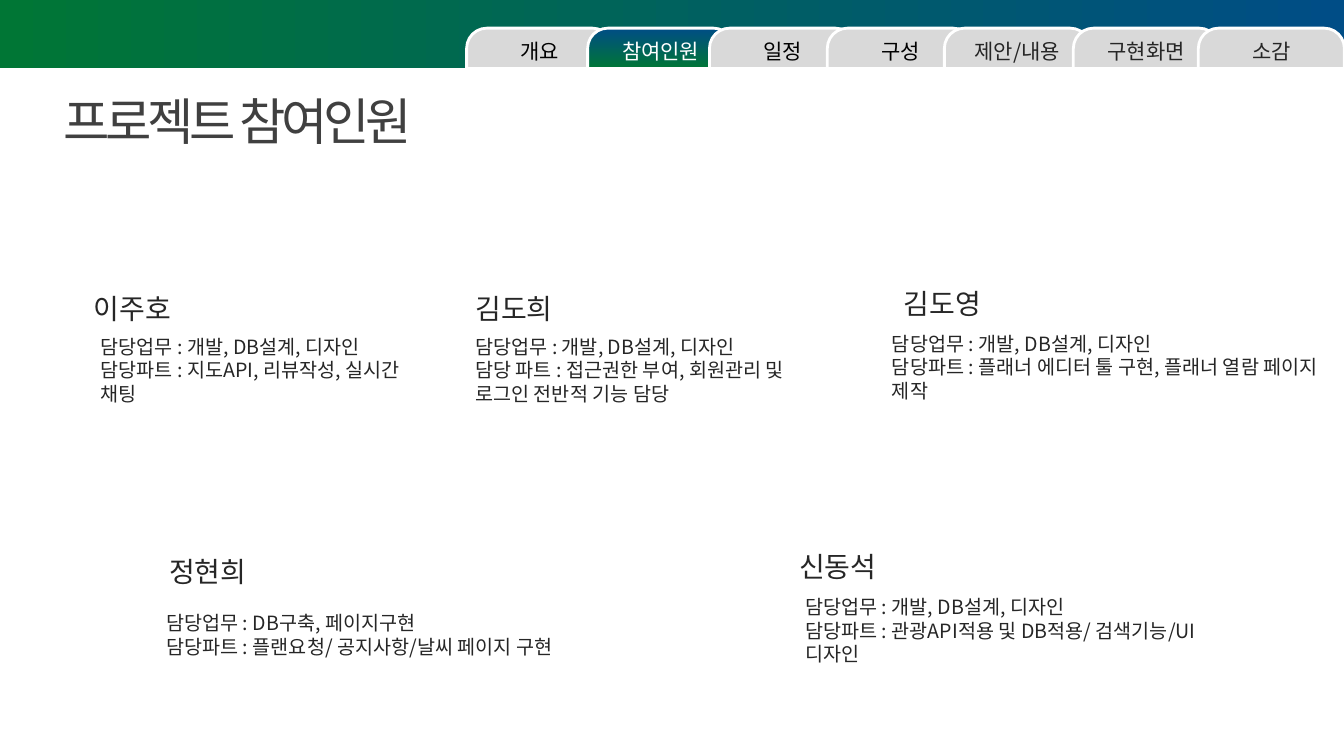
"""Build the project members slide with its tab bar."""
from lxml import etree
from pptx import Presentation
from pptx import util as u
from pptx.dml.color import RGBColor
from pptx.enum import shapes, text
from pptx.oxml.ns import qn

FONT = "Noto Sans CJK KR"
GREEN = RGBColor(0x00, 0x76, 0x35)
BLUE = RGBColor(0x00, 0x4D, 0x86)
GREY = RGBColor(0xD9, 0xD9, 0xD9)
WHITE = RGBColor(0xFF, 0xFF, 0xFF)
BLACK = RGBColor(0x00, 0x00, 0x00)
INK = RGBColor(0x26, 0x26, 0x26)
TITLE_INK = RGBColor(0x40, 0x40, 0x40)

TITLE = "프로젝트 참여인원"
ACTIVE_TAB = "참여인원"
TABS = [
    ("개요", 11.76, BLACK),
    ("참여인원", 14.81, WHITE),
    ("일정", 17.88, BLACK),
    ("구성", 20.85, BLACK),
    ("제안/내용", 23.8, INK),
    ("구현화면", 27.05, INK),
    ("소감", 30.2, INK),
]
MEMBERS = [
    {"name": "이주호", "name_at": (2.11, 7.77), "duty_at": (2.29, 9.32), "width": 8.05,
     "duties": ["담당업무 : 개발, DB설계, 디자인",
                "담당파트 : 지도API, 리뷰작성, 실시간 채팅"]},
    {"name": "김도희", "name_at": (11.73, 7.77), "duty_at": (11.73, 9.32), "width": 8.51,
     "duties": ["담당업무 : 개발, DB설계, 디자인",
                "담당 파트 : 접근권한 부여, 회원관리 및 로그인 전반적 기능 담당"]},
    {"name": "김도영", "name_at": (22.53, 7.65), "duty_at": (22.23, 9.25), "width": 11.51,
     "duties": ["담당업무 : 개발, DB설계, 디자인",
                "담당파트 : 플래너 에디터 툴 구현, 플래너 열람 페이지 제작"]},
    {"name": "정현희", "name_at": (4.01, 14.39), "duty_at": (3.94, 15.99), "width": 12.19,
     "duties": ["담당업무 : DB구축, 페이지구현",
                "담당파트 : 플랜요청/ 공지사항/날씨 페이지 구현"]},
    {"name": "신동석", "name_at": (19.89, 14.27), "duty_at": (20.04, 15.88), "width": 11.71,
     "duties": ["담당업무 : 개발, DB설계, 디자인",
                "담당파트 : 관광API적용 및 DB적용/ 검색기능/UI 디자인"]},
]
NAME_WIDTH, ROW_HEIGHT = 4.6, 0.9
TAB_TOP, TAB_WIDTH, TAB_HEIGHT = 0.71, 3.68, 1.02


def write(frame, lines, size, color, align=text.PP_ALIGN.LEFT, spacing=None):
    frame.vertical_anchor = text.MSO_ANCHOR.MIDDLE
    for index, line in enumerate(lines):
        paragraph = frame.add_paragraph() if index else frame.paragraphs[0]
        paragraph.text = line
        paragraph.alignment = align
        font = paragraph.font
        font.size, font.name = u.Pt(size), FONT
        font.color.rgb = color
        defaults = paragraph._p.pPr.find(qn("a:defRPr"))
        east_asian = etree.Element(qn("a:ea"), typeface=FONT)
        defaults.find(qn("a:latin")).addnext(east_asian)
        if spacing:
            defaults.set("spc", str(spacing))


def add_text(slide, left, middle, width, height, lines, size, color, **style):
    box = slide.shapes.add_textbox(
        u.Cm(left), u.Cm(middle - height / 2), u.Cm(width), u.Cm(height))
    box.text_frame.word_wrap = True
    write(box.text_frame, lines, size, color, **style)
    return box


def add_block(slide, kind, left, top, width, height):
    block = slide.shapes.add_shape(kind, u.Cm(left), u.Cm(top), u.Cm(width), u.Cm(height))
    block.shadow.inherit = False
    return block


def fill_gradient(block, angle):
    block.fill.gradient()
    block.fill.gradient_angle = angle
    for stop, color, position in zip(block.fill.gradient_stops, (GREEN, BLUE), (0, 1)):
        stop.color.rgb = color
        stop.position = position


def add_tab(slide, label, left, color):
    tab = add_block(slide, shapes.MSO_SHAPE.ROUND_2_SAME_RECTANGLE,
                    left, TAB_TOP, TAB_WIDTH, TAB_HEIGHT)
    tab.adjustments[0] = 0.5
    if label == ACTIVE_TAB:
        fill_gradient(tab, 90)
    else:
        tab.fill.solid()
        tab.fill.fore_color.rgb = GREY
    tab.line.color.rgb = WHITE
    tab.line.width = u.Pt(2)
    write(tab.text_frame, [label], 15, color, align=text.PP_ALIGN.CENTER)


def main():
    deck = Presentation()
    deck.slide_width, deck.slide_height = u.Cm(33.87), u.Cm(19.05)
    slide = deck.slides.add_slide(deck.slide_layouts[6])

    banner = add_block(slide, shapes.MSO_SHAPE.RECTANGLE, 0, -0.02, 33.87, 1.74)
    fill_gradient(banner, 0)
    banner.line.fill.background()

    title = add_text(slide, 1.35, 3.03, 10.19, 1.8, [TITLE], 36, TITLE_INK, spacing=-300)
    title.text_frame.word_wrap = False

    for member in MEMBERS:
        add_text(slide, *member["name_at"], NAME_WIDTH, ROW_HEIGHT, [member["name"]], 20, INK)
        add_text(slide, *member["duty_at"], member["width"], ROW_HEIGHT,
                 member["duties"], 14, INK)

    for label, left, color in TABS:
        add_tab(slide, label, left, color)

    deck.save("out.pptx")


if __name__ == "__main__":
    main()
